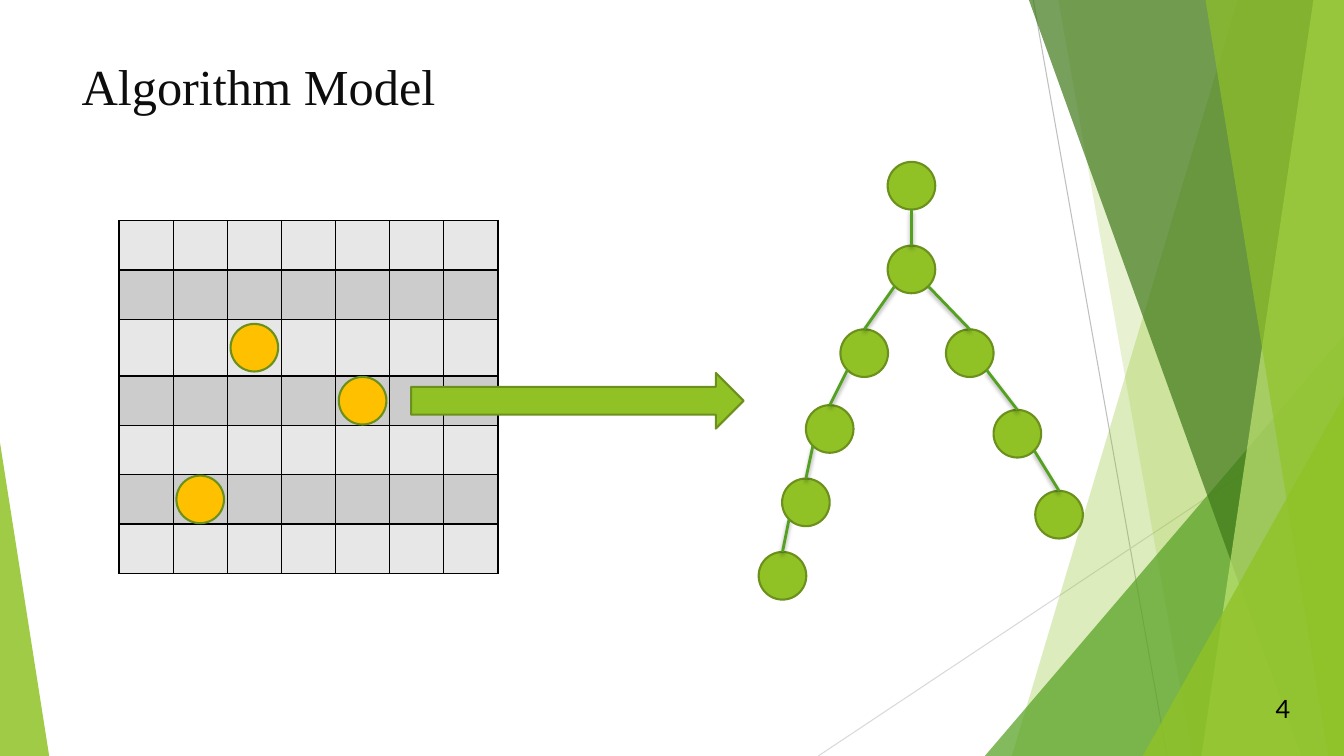
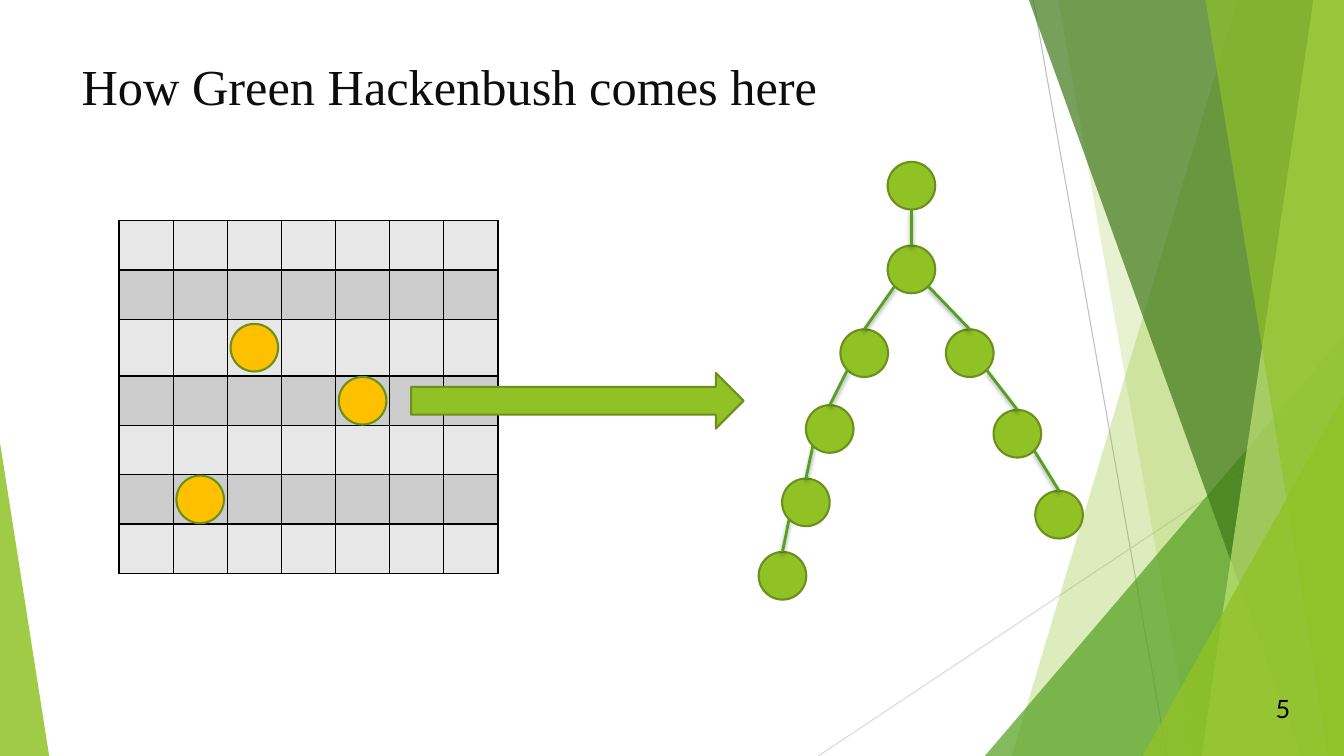
import math
from dataclasses import dataclass

import lxml.etree
import pptx
import pptx.dml.color
import pptx.enum.shapes
import pptx.enum.text
import pptx.oxml.ns
import pptx.util

Cm = pptx.util.Cm
Pt = pptx.util.Pt
Shapes = pptx.enum.shapes.MSO_SHAPE
qn = pptx.oxml.ns.qn

# All lengths below are centimetres.
WIDTH, HEIGHT = 33.87, 19.05


@dataclass(frozen=True)
class Theme:
    green: str = "90C226"
    mid_green: str = "54A021"
    dark_green: str = "3F7819"
    pale_green: str = "C0E474"
    outline: str = "6B901C"
    stone: str = "FFC000"
    row_light: str = "E7E7E7"
    row_dark: str = "CCCCCC"
    guide_dark: str = "BFBFBF"
    guide_light: str = "D9D9D9"
    title_color: str = "0D0D0D"
    black: str = "000000"
    title_font: str = "Times New Roman"
    number_font: str = "Lato"
    title_size: int = 36
    number_size: int = 18
    guide_width: float = 0.75
    border_width: float = 1
    outline_width: float = 1.5
    branch_width: float = 2


THEME = Theme()

# Left edge at the top and at the bottom, colour, opacity in percent
BACK_BANDS = [
    (31.19, 25.5, THEME.green, 30),
    (26.67, 30.05, THEME.green, 20),
]
FRONT_BANDS = [
    (25.93, 32.79, THEME.dark_green, 70),
    (33.1, 30.28, THEME.pale_green, 70),
    (30.38, 33.48, THEME.green, 65),
]

BOARD_LEFT, BOARD_TOP = 3.0, 5.56
BOARD_WIDTH, BOARD_HEIGHT = 9.55, 8.89
BOARD_SIZE = 7
TALL_ROW, TALL_HEIGHT = 2, 1.43
COLUMN_WIDTH = BOARD_WIDTH / BOARD_SIZE
ROW_HEIGHT = (BOARD_HEIGHT - TALL_HEIGHT) / (BOARD_SIZE - 1)
ROW_HEIGHTS = [TALL_HEIGHT if row == TALL_ROW else ROW_HEIGHT
               for row in range(BOARD_SIZE)]
STONES = [(2, 2), (3, 4), (5, 1)]  # row, column

DIAMETER = 1.2
NODES = {  # centre of each circle
    "root": (22.97, 4.68),
    "fork": (22.97, 6.79),
    "left 1": (21.78, 8.9),
    "left 2": (20.91, 10.81),
    "left 3": (20.31, 12.66),
    "left 4": (19.72, 14.51),
    "right 1": (24.44, 8.9),
    "right 2": (25.64, 10.93),
    "right 3": (26.69, 12.97),
}
BRANCHES = [
    ("root", "fork"),
    ("fork", "left 1"), ("left 1", "left 2"),
    ("left 2", "left 3"), ("left 3", "left 4"),
    ("fork", "right 1"), ("right 1", "right 2"), ("right 2", "right 3"),
]


def rgb(color):
    return pptx.dml.color.RGBColor.from_string(color)


def add_xml(parent, tag, **attributes):
    return lxml.etree.SubElement(parent, qn(tag), **attributes)


class Deck:
    def __init__(self, theme):
        self.theme = theme
        self.presentation = pptx.Presentation()
        self.presentation.slide_width = Cm(WIDTH)
        self.presentation.slide_height = Cm(HEIGHT)
        self.slide = None

    def new_slide(self, title, number):
        layout = self.presentation.slide_layouts[5]
        self.slide = self.presentation.slides.add_slide(layout)
        self.backdrop()
        self.title(title)
        self.number(number)

    def backdrop(self):
        theme = self.theme
        self.line((26.04, 0), (29.41, HEIGHT), theme.guide_dark, theme.guide_width)
        self.line((WIDTH, 10.24), (20.62, HEIGHT), theme.guide_light, theme.guide_width)
        for band in BACK_BANDS:
            self.band(*band)
        self.corner(24.82, 8.46, WIDTH, 1, theme.mid_green, 72)
        for band in FRONT_BANDS:
            self.band(*band)
        self.corner(28.8, 9.98, WIDTH, 1, theme.green, 80)
        self.corner(0, 11.15, 1.24, 0, theme.green, 85)

    def title(self, text):
        shape = self.slide.shapes.title
        shape.left, shape.top = Cm(1.8), Cm(1.27)
        shape.width, shape.height = Cm(26.14), Cm(3.89)
        frame = shape.text_frame
        frame.text = text
        frame.vertical_anchor = pptx.enum.text.MSO_ANCHOR.TOP
        self.format_text(frame, self.theme.title_font, self.theme.title_size,
                         self.theme.title_color)

    def number(self, number):
        shape = self.slide.shapes.add_textbox(Cm(31.9), Cm(17.35), Cm(0.86), Cm(1.02))
        frame = shape.text_frame
        frame.text = str(number)
        frame.word_wrap = False
        frame.auto_size = pptx.enum.text.MSO_AUTO_SIZE.SHAPE_TO_FIT_TEXT
        self.format_text(frame, self.theme.number_font, self.theme.number_size,
                         self.theme.black)

    def format_text(self, frame, font_name, size, color):
        paragraph = frame.paragraphs[0]
        paragraph.alignment = pptx.enum.text.PP_ALIGN.LEFT
        font = paragraph.runs[0].font
        font.name, font.size = font_name, Pt(size)
        font.color.rgb = rgb(color)

    def paint(self, shape, fill, opacity=100, outline=None):
        shape.shadow.inherit = False
        shape.fill.solid()
        shape.fill.fore_color.rgb = rgb(fill)
        if opacity < 100:
            color = shape.element.spPr.find(qn("a:solidFill"))[0]
            add_xml(color, "a:alpha", val=str(opacity * 1000))
        if outline:
            shape.line.color.rgb = rgb(outline)
            shape.line.width = Pt(self.theme.outline_width)
        else:
            shape.line.fill.background()

    def band(self, top_left, bottom_left, color, opacity):
        """Fill from a slanted left edge to the right edge of the slide."""
        builder = self.slide.shapes.build_freeform(Cm(top_left), 0)
        builder.add_line_segments([
            (Cm(WIDTH), 0), (Cm(WIDTH), Cm(HEIGHT)), (Cm(bottom_left), Cm(HEIGHT))])
        self.paint(builder.convert_to_shape(), color, opacity)

    def corner(self, left, top, right, apex, color, opacity):
        """Draw a triangle standing on the slide's bottom edge."""
        shape = self.preset(Shapes.ISOSCELES_TRIANGLE, left, top,
                            right - left, HEIGHT - top)
        shape.adjustments[0] = apex
        self.paint(shape, color, opacity)

    def preset(self, kind, left, top, width, height):
        return self.slide.shapes.add_shape(kind, Cm(left), Cm(top), Cm(width), Cm(height))

    def circle(self, center, color):
        x, y = center
        shape = self.preset(Shapes.OVAL, x - DIAMETER / 2, y - DIAMETER / 2,
                            DIAMETER, DIAMETER)
        self.paint(shape, color, outline=self.theme.outline)
        return shape

    def arrow(self, left, top, width, height):
        shape = self.preset(Shapes.RIGHT_ARROW, left, top, width, height)
        self.paint(shape, self.theme.green, outline=self.theme.outline)

    def line(self, start, end, color, width, shadow=False):
        connector = self.slide.shapes.add_connector(
            pptx.enum.shapes.MSO_CONNECTOR.STRAIGHT,
            *(Cm(length) for length in (*start, *end)))
        connector.line.color.rgb = rgb(color)
        connector.line.width = Pt(width)
        effects = add_xml(connector.element.spPr, "a:effectLst")
        if shadow:
            outer = add_xml(effects, "a:outerShdw", blurRad=str(Pt(3)),
                            dist=str(Pt(2)), dir="5400000", rotWithShape="0")
            black = add_xml(outer, "a:srgbClr", val=self.theme.black)
            add_xml(black, "a:alpha", val="35000")
        return connector

    def board(self):
        frame = self.slide.shapes.add_table(
            BOARD_SIZE, BOARD_SIZE, Cm(BOARD_LEFT), Cm(BOARD_TOP),
            Cm(BOARD_WIDTH), Cm(BOARD_HEIGHT))
        table = frame.table
        for column in table.columns:
            column.width = Cm(COLUMN_WIDTH)
        for index, row in enumerate(table.rows):
            row.height = Cm(ROW_HEIGHTS[index])
            color = self.theme.row_dark if index % 2 else self.theme.row_light
            for cell in row.cells:
                cell.fill.solid()
                cell.fill.fore_color.rgb = rgb(color)
                self.cell_borders(cell)
        for row, column in STONES:
            x = BOARD_LEFT + (column + 0.5) * COLUMN_WIDTH
            y = BOARD_TOP + sum(ROW_HEIGHTS[:row]) + ROW_HEIGHTS[row] / 2
            self.circle((x, y), self.theme.stone)

    def cell_borders(self, cell):
        properties = cell._tc.get_or_add_tcPr()
        for index, side in enumerate("LRTB"):
            border = add_xml(properties, f"a:ln{side}",
                             w=str(Pt(self.theme.border_width)))
            fill = add_xml(border, "a:solidFill")
            add_xml(fill, "a:srgbClr", val=self.theme.black)
            properties.insert(index, border)

    def tree(self):
        circles = {name: self.circle(center, self.theme.green)
                   for name, center in NODES.items()}
        radius = DIAMETER / 2
        for parent, child in BRANCHES:
            (x, y), (child_x, child_y) = NODES[parent], NODES[child]
            side = (child_x > x) - (child_x < x)
            angle = math.radians(45 * side)
            start = (x + radius * math.sin(angle), y + radius * math.cos(angle))
            branch = self.line(start, (child_x, child_y - radius),
                               self.theme.mid_green, self.theme.branch_width, shadow=True)
            branch.end_connect(circles[child], 0)


def main():
    deck = Deck(THEME)
    titles = ["Algorithm Model", "How Green Hackenbush comes here"]
    for number, title in enumerate(titles, start=4):
        deck.new_slide(title, number)
        deck.tree()
        deck.board()
        deck.arrow(10.36, 9.4, 8.38, 1.4)
    deck.presentation.save("out.pptx")


if __name__ == "__main__":
    main()
